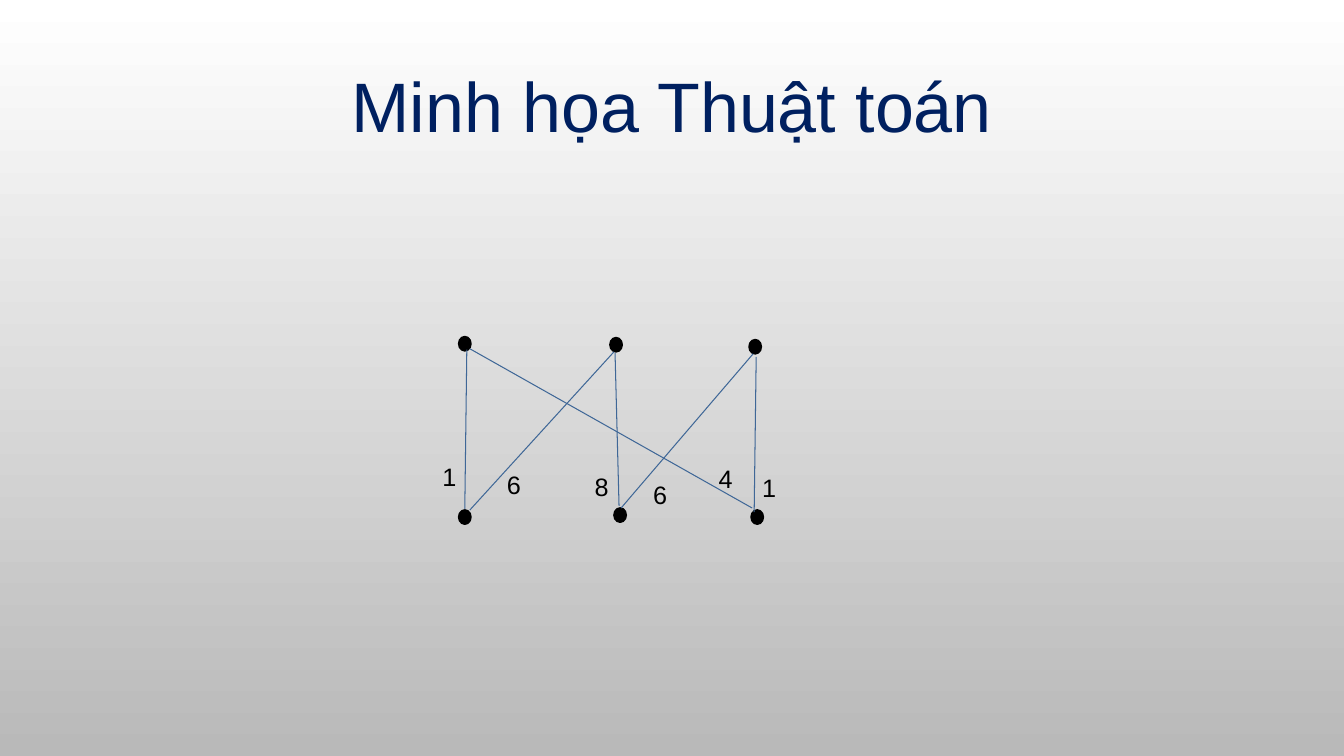
from dataclasses import dataclass

from lxml.etree import SubElement
from pptx import Presentation
from pptx.dml.color import RGBColor
from pptx.enum.shapes import MSO_CONNECTOR, MSO_SHAPE
from pptx.enum.text import MSO_ANCHOR, MSO_AUTO_SIZE, PP_ALIGN
from pptx.oxml.ns import qn
from pptx.util import Inches, Pt


@dataclass(frozen=True)
class Theme:
    font: str = "Arial"
    title_color: RGBColor = RGBColor(0x00, 0x20, 0x60)
    ink: RGBColor = RGBColor(0x00, 0x00, 0x00)
    edge: RGBColor = RGBColor(0x3F, 0x67, 0x97)
    background_top: RGBColor = RGBColor(0xFF, 0xFF, 0xFF)
    background_bottom: RGBColor = RGBColor(0xB9, 0xB9, 0xB9)
    title_size: int = 50
    label_size: int = 18
    node_line: float = 1.25
    edge_line: float = 0.75


class GraphPage:
    def __init__(self, deck, theme):
        self.theme = theme
        self.page = deck.slides.add_slide(deck.slide_layouts[5])

    def background(self):
        fill = self.page.background.fill
        fill.gradient()
        fill.gradient_angle = 270
        colors = (self.theme.background_top, self.theme.background_bottom)
        for position, (stop, color) in enumerate(zip(fill.gradient_stops, colors)):
            stop.position = position
            stop.color.rgb = color

    def add_span(self, para, text, size, color):
        span = para.add_run()
        span.text = text
        span.font.name = self.theme.font
        span.font.size = Pt(size)
        span.font.color.rgb = color

    def title(self, text, left, top, width, height):
        box = self.page.shapes.title
        box.left, box.top = Inches(left), Inches(top)
        box.width, box.height = Inches(width), Inches(height)
        frame = box.text_frame
        frame.auto_size = MSO_AUTO_SIZE.NONE
        frame.vertical_anchor = MSO_ANCHOR.MIDDLE
        para = frame.paragraphs[0]
        para.alignment = PP_ALIGN.CENTER
        para.line_spacing = 0.9
        self.add_span(para, text, self.theme.title_size, self.theme.title_color)

    def node(self, left, top):
        dot = self.page.shapes.add_shape(
            MSO_SHAPE.FLOWCHART_CONNECTOR,
            Inches(left), Inches(top), Inches(0.12), Inches(0.14))
        dot.shadow.inherit = False
        dot.fill.solid()
        dot.fill.fore_color.rgb = self.theme.ink
        dot.line.color.rgb = self.theme.ink
        dot.line.width = Pt(self.theme.node_line)

    def edge(self, start, end):
        points = [Inches(value) for value in (*start, *end)]
        line = self.page.shapes.add_connector(MSO_CONNECTOR.STRAIGHT, *points)
        line.line.color.rgb = self.theme.edge
        line.line.width = Pt(self.theme.edge_line)
        SubElement(line._element.spPr, qn("a:effectLst"))

    def label(self, text, left, top):
        box = self.page.shapes.add_textbox(
            Inches(left), Inches(top), Inches(0.34), Inches(0.4))
        frame = box.text_frame
        frame.word_wrap = False
        frame.auto_size = MSO_AUTO_SIZE.SHAPE_TO_FIT_TEXT
        self.add_span(frame.paragraphs[0], text, self.theme.label_size, self.theme.ink)


NODES = [
    (4.55, 5.06), (6.09, 5.04), (7.45, 5.06),
    (4.55, 3.34), (6.05, 3.35), (7.43, 3.37),
]
EDGES = [
    ((4.63, 3.47), (4.61, 5.05)),
    ((6.09, 3.49), (4.66, 5.06)),
    ((6.1, 3.5), (6.14, 5.02)),
    ((4.66, 3.46), (7.46, 5.04)),
    ((7.47, 3.51), (6.16, 5.04)),
    ((7.5, 3.54), (7.48, 5.08)),
]
WEIGHTS = [
    ("1", 4.29, 4.53), ("6", 4.93, 4.61), ("8", 5.8, 4.63),
    ("6", 6.38, 4.71), ("4", 7.03, 4.55), ("1", 7.46, 4.64),
]


def main():
    deck = Presentation()
    deck.slide_width, deck.slide_height = Inches(13.33), Inches(7.5)
    graph = GraphPage(deck, Theme())
    graph.background()
    graph.title("Minh họa Thuật toán", 1, 0.61, 11.33, 0.96)
    for node in NODES:
        graph.node(*node)
    for start, end in EDGES:
        graph.edge(start, end)
    for weight in WEIGHTS:
        graph.label(*weight)
    deck.save("out.pptx")


if __name__ == "__main__":
    main()
